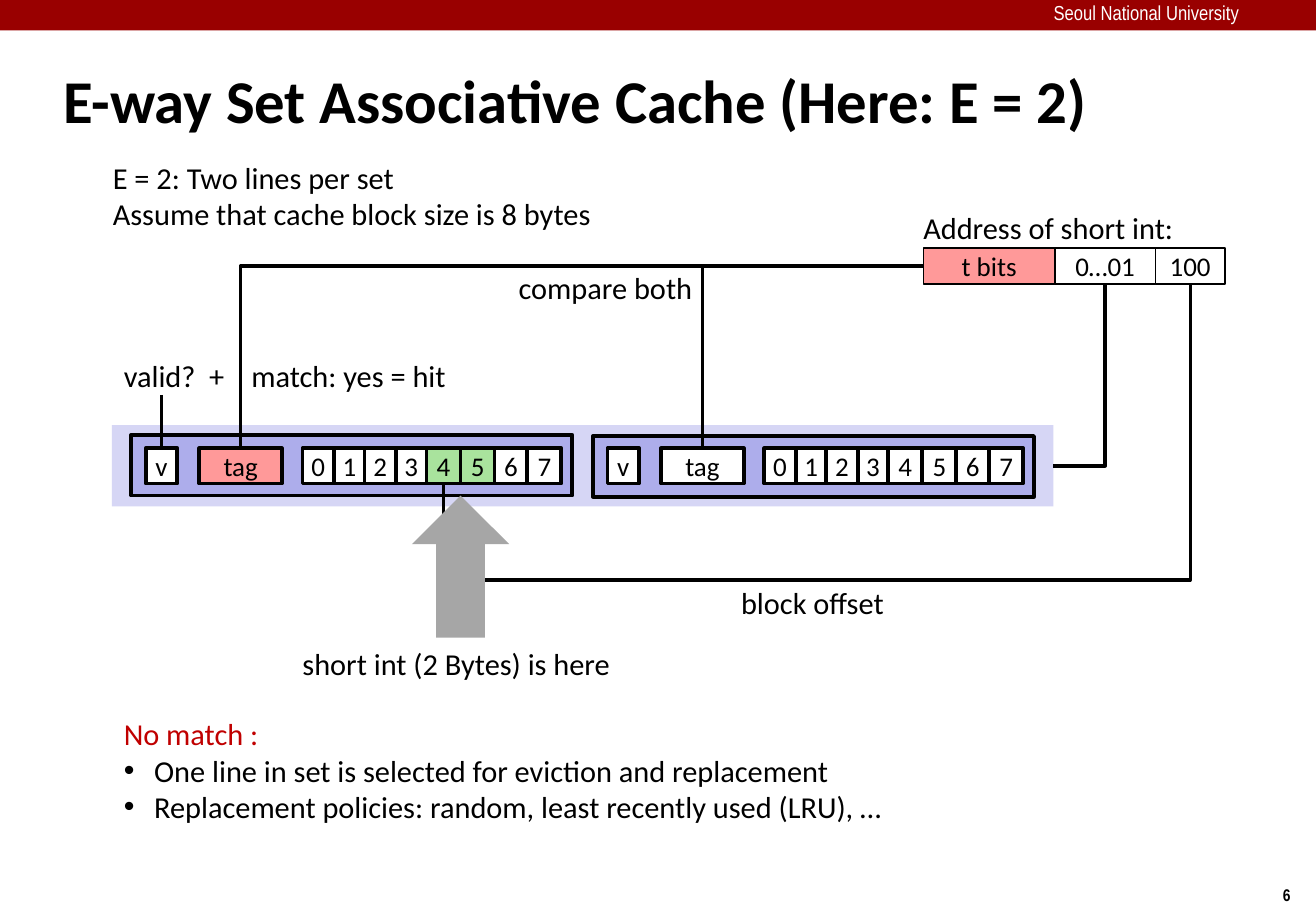
from itertools import pairwise

from lxml import etree
from pptx import Presentation
from pptx.dml.color import RGBColor
from pptx.enum.shapes import MSO_CONNECTOR, MSO_SHAPE
from pptx.enum.text import MSO_ANCHOR, MSO_AUTO_SIZE, PP_ALIGN
from pptx.oxml.ns import qn
from pptx.util import Pt

PX = 9144  # 100 px to the inch
RECT, UP_ARROW = MSO_SHAPE.RECTANGLE, MSO_SHAPE.UP_ARROW
STRAIGHT, ELBOW = MSO_CONNECTOR.STRAIGHT, MSO_CONNECTOR.ELBOW
CENTER, MIDDLE = PP_ALIGN.CENTER, MSO_ANCHOR.MIDDLE
TOP, LEFT, BOTTOM, RIGHT = range(4)
BLACK, WHITE, PINK, GREEN = "000000", "FFFFFF", "FF9999", "A9E39D"
LAVENDER, VIOLET, GRAY = "D6D6F5", "ADADEB", "A6A6A6"
CRIMSON, RED = "990000", "C00000"

prs = Presentation()
prs.slide_width, prs.slide_height = 1083 * PX, 750 * PX
slide = prs.slides.add_slide(prs.slide_layouts[6])
shapes = slide.shapes
color = RGBColor.from_string


def add_block(x, y, w, h, fill, line=0, text="", kind=RECT):
    block = shapes.add_shape(kind, x * PX, y * PX, w * PX, h * PX)
    block.shadow.inherit = False
    block.fill.solid()
    block.fill.fore_color.rgb = color(fill)
    if line:
        block.line.color.rgb = color(BLACK)
        block.line.width = Pt(line)
    else:
        block.line.fill.background()
    if text:
        frame = block.text_frame
        frame.text = text
        frame.word_wrap = False
        frame.vertical_anchor = MIDDLE
        frame.paragraphs[0].alignment = CENTER
        font = frame.paragraphs[0].runs[0].font
        font.name, font.size, font.color.rgb = "Calibri", Pt(16), color(BLACK)
    return block


def add_label(x, y, w, h, text, size=18, face="Calibri", ink=BLACK, bold=False):
    label = shapes.add_textbox(x * PX, y * PX, w * PX, h * PX)
    frame = label.text_frame
    frame.text = text
    frame.word_wrap = False
    frame.auto_size = MSO_AUTO_SIZE.SHAPE_TO_FIT_TEXT
    for paragraph in frame.paragraphs:
        font = paragraph.runs[0].font
        font.name, font.size, font.bold = face, Pt(size), bold
        font.color.rgb = color(ink)
    return frame


# Banner, page number and title
add_block(0, 0, 1083, 25, CRIMSON)
add_label(1046, 723, 34, 27, "6", 10, "Arial Narrow", bold=True)
university = add_label(867, 0, 218, 22, "Seoul National University", 12, "Arial Narrow", WHITE)
university.auto_size = MSO_AUTO_SIZE.NONE
university.margin_left = university.margin_top = 0
university.margin_right = university.margin_bottom = 0
title = add_label(42, 40, 899, 83, "E-way Set Associative Cache (Here: E = 2)", 36, bold=True)
title.auto_size = MSO_AUTO_SIZE.NONE
title.word_wrap = True
title.vertical_anchor = MIDDLE

# Address fields
address_tag = add_block(760, 204, 108, 30, PINK, 1, "t bits")
address_index = add_block(868, 204, 83, 30, WHITE, 1, "0…01")
address_offset = add_block(951, 204, 57, 30, WHITE, 1, "100")

# Cache set with two lines
cache_set = add_block(92, 350, 775, 67, LAVENDER)
byte_edges = [141, 167, 192, 218, 243, 271, 299, 326, 354]
cache_lines = []
for line_x, line_y, tag_fill, hit_bytes in [(108, 358, PINK, (4, 5)), (488, 359, WHITE, ())]:
    add_block(line_x, line_y, 363, 50, VIOLET, 2.25)
    valid = add_block(line_x + 12, 369, 26, 29, WHITE, 2.25, "v")
    tag = add_block(line_x + 56, 369, 68, 29, tag_fill, 2.25, "tag")
    data = []
    for number, (start, end) in enumerate(pairwise(byte_edges)):
        fill = GREEN if number in hit_bytes else WHITE
        data.append(add_block(line_x + start, 369, end - start, 29, fill, 2.25, str(number)))
    cache_lines.append((valid, tag, data))
(first_valid, first_tag, first_data), (_, second_tag, _) = cache_lines

# Wires: start, side, end, side, preset, quarter turn, bend position
wires = [
    (address_index, BOTTOM, cache_set, RIGHT, "bentConnector2", True, None),
    (address_tag, LEFT, second_tag, TOP, "bentConnector2", False, None),
    (address_tag, LEFT, first_tag, TOP, "bentConnector2", False, None),
    (None, None, first_valid, TOP, "line", False, None),
    (address_offset, BOTTOM, first_data[4], BOTTOM, "bentConnector3", True, 148400),
]
for start, start_side, end, end_side, preset, turned, bend in wires:
    kind = ELBOW if start else STRAIGHT
    wire = shapes.add_connector(kind, 133 * PX, 325 * PX, 133 * PX, 369 * PX)
    if start:
        wire.begin_connect(start, start_side)
    wire.end_connect(end, end_side)
    wire.line.color.rgb = color(BLACK)
    wire.line.width = Pt(2)
    properties = wire._element.spPr
    etree.SubElement(properties, qn("a:effectLst"))
    geometry = properties.find(qn("a:prstGeom"))
    geometry.set("prst", preset)
    if bend:
        guide = etree.SubElement(geometry.find(qn("a:avLst")), qn("a:gd"))
        guide.set("name", "adj1")
        guide.set("fmla", f"val {bend}")
    if turned:
        # Swap the sides of the frame about its centre
        width, height = wire.width, wire.height
        wire.left += (width - height) // 2
        wire.top += (height - width) // 2
        wire.width, wire.height = height, width
        frame_xml = properties.find(qn("a:xfrm"))
        frame_xml.attrib.pop("flipH", None)
        frame_xml.set("rot", "5400000")

# Arrow to the short int
add_block(339, 408, 80, 117, GRAY, kind=UP_ARROW)

# Labels
for x, y, w, h, text in [
    (750, 167, 233, 40, "Address of short int:"),
    (417, 217, 167, 40, "compare both"),
    (92, 289, 112, 40, "valid?  +"),
    (197, 289, 185, 40, "match: yes = hit"),
    (600, 476, 142, 40, "block offset"),
    (239, 526, 281, 40, "short int (2 Bytes) is here"),
    (83, 126, 418, 71, "E = 2: Two lines per set\nAssume that cache block size is 8 bytes"),
]:
    add_label(x, y, w, h, text)

# Handling of a miss
miss = add_label(92, 584, 652, 101, "No match :\n"
                 "One line in set is selected for eviction and replacement\n"
                 "Replacement policies: random, least recently used (LRU), …")
heading, *policies = miss.paragraphs
heading.runs[0].font.color.rgb = color(RED)
for policy in policies:
    layout = policy._p.get_or_add_pPr()
    layout.set("marL", str(25 * PX))
    layout.set("indent", str(-25 * PX))
    etree.SubElement(layout, qn("a:buFont")).set("typeface", "Arial")
    etree.SubElement(layout, qn("a:buChar")).set("char", "•")

prs.save("out.pptx")
